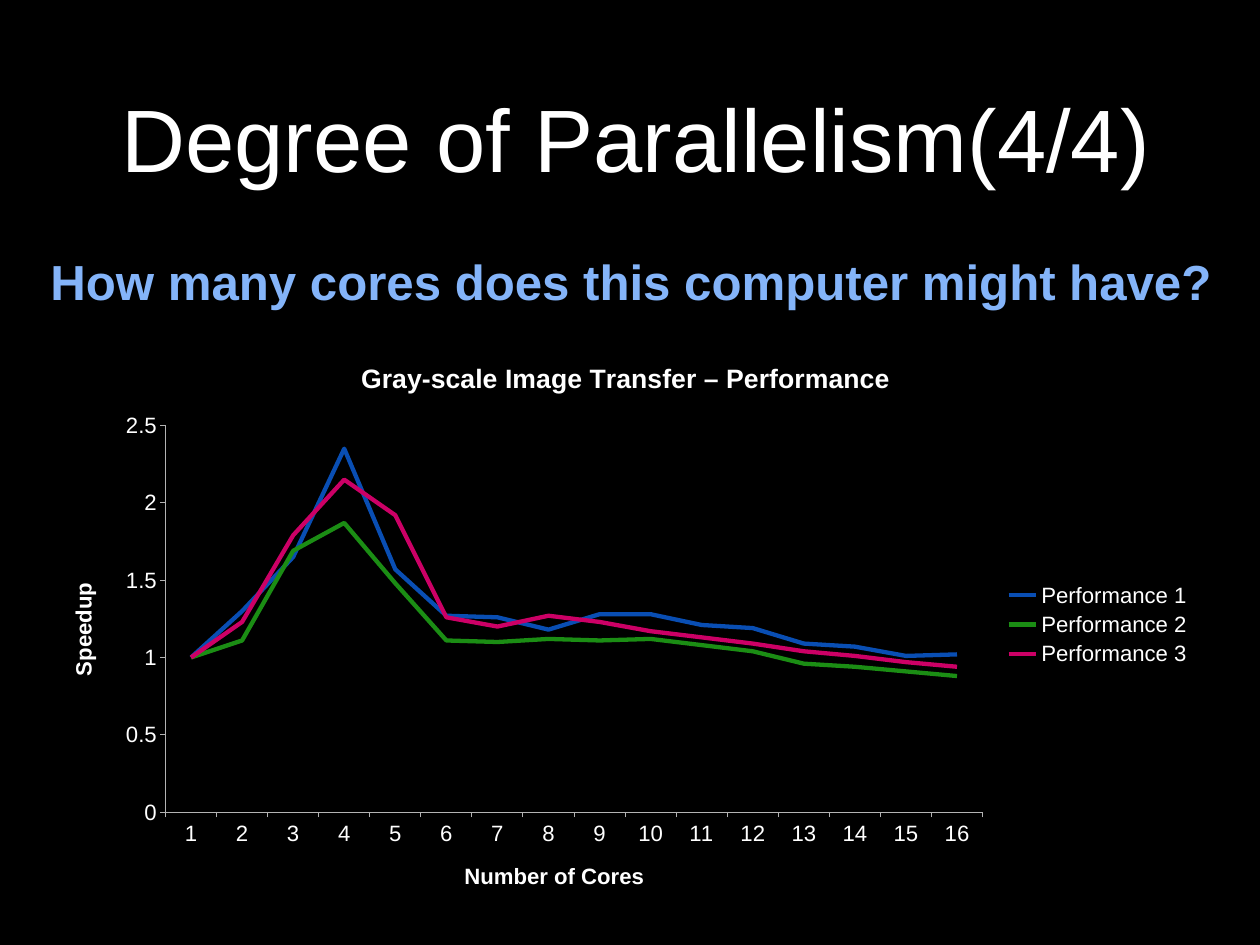
from dataclasses import dataclass

from lxml import etree
from pptx import Presentation
from pptx import util as u
from pptx.chart import data as cd
from pptx.dml import color as col
from pptx.enum import chart as ec
from pptx.enum import text as et
from pptx.oxml import ns

Pt = u.Pt
RGB = col.RGBColor
BLACK = RGB(0x00, 0x00, 0x00)
WHITE = RGB(0xFF, 0xFF, 0xFF)
GRAY = RGB(0xB3, 0xB3, 0xB3)
SKY = RGB(0x84, 0xB4, 0xF9)
BLUE = RGB(0x09, 0x4E, 0xB3)
GREEN = RGB(0x1B, 0x8D, 0x14)
PINK = RGB(0xCC, 0x00, 0x66)
FACE = "Arial"


@dataclass
class Label:
    words: str
    box: tuple[float, float, float, float]
    size: float
    color: RGB
    bold: bool = False
    align: et.PP_ALIGN = et.PP_ALIGN.LEFT
    anchor: et.MSO_ANCHOR = et.MSO_ANCHOR.TOP
    space: float = 1.0


@dataclass
class Trend:
    name: str
    color: RGB
    vals: list[float]


LABELS = [
    Label("How many cores does this computer might have?", (41, 209.5, 958.3, 528.5),
          40, SKY, bold=True, space=0.9),
    Label("Degree of Parallelism(4/4)", (95.8, 57.6, 841.7, 97.2), 72, WHITE,
          align=et.PP_ALIGN.CENTER, anchor=et.MSO_ANCHOR.BOTTOM),
]
TRENDS = [
    Trend("Performance 1", BLUE, [1, 1.3, 1.65, 2.35, 1.57, 1.27, 1.26, 1.18,
                                  1.28, 1.28, 1.21, 1.19, 1.09, 1.07, 1.01, 1.02]),
    Trend("Performance 2", GREEN, [1, 1.11, 1.69, 1.87, 1.48, 1.11, 1.1, 1.12,
                                   1.11, 1.12, 1.08, 1.04, 0.96, 0.94, 0.91, 0.88]),
    Trend("Performance 3", PINK, [1, 1.23, 1.79, 2.15, 1.92, 1.26, 1.2, 1.27,
                                  1.23, 1.17, 1.13, 1.09, 1.04, 1.01, 0.97, 0.94]),
]


def add_run(para, words: str, size: float, color: RGB, bold: bool) -> None:
    run = para.add_run()
    run.text = words
    font = run.font
    font.name, font.size, font.bold = FACE, Pt(size), bold
    font.color.rgb = color


def add_label(slide, label: Label) -> None:
    frame = slide.shapes.add_textbox(*map(Pt, label.box)).text_frame
    frame.word_wrap = True
    frame.margin_left = frame.margin_top = frame.margin_right = frame.margin_bottom = 0
    frame.vertical_anchor = label.anchor
    para = frame.paragraphs[0]
    para.alignment = label.align
    para.line_spacing = label.space
    add_run(para, label.words, label.size, label.color, label.bold)


def set_title(owner, words: str, size: float) -> None:
    owner.has_title = True
    title = owner.chart_title if hasattr(owner, "chart_title") else owner.axis_title
    add_run(title.text_frame.paragraphs[0], words, size, WHITE, True)


def set_axis(axis, words: str) -> None:
    set_title(axis, words, 18)
    axis.has_major_gridlines = False
    axis.major_tick_mark = ec.XL_TICK_MARK.OUTSIDE
    axis.minor_tick_mark = ec.XL_TICK_MARK.NONE
    axis.format.line.color.rgb = GRAY
    axis.format.line.width = Pt(0.75)


def set_plot(chart, x: float, y: float, w: float, h: float) -> None:
    area = chart.element.find(".//" + ns.qn("c:plotArea"))
    for old in area.findall(ns.qn("c:layout")):
        area.remove(old)
    layout = etree.Element(ns.qn("c:layout"))
    area.insert(0, layout)
    manual = etree.SubElement(layout, ns.qn("c:manualLayout"))
    parts = {"layoutTarget": "inner", "xMode": "edge", "yMode": "edge",
             "x": x, "y": y, "w": w, "h": h}
    for tag, val in parts.items():
        etree.SubElement(manual, ns.qn("c:" + tag)).set("val", str(val))


def add_graph(slide, trends: list[Trend]) -> None:
    data = cd.CategoryChartData()
    data.categories = [str(core) for core in range(1, 17)]
    for trend in trends:
        data.add_series(trend.name, trend.vals)
    box = map(Pt, (41, 276.5, 935.3, 462.2))
    chart = slide.shapes.add_chart(ec.XL_CHART_TYPE.LINE, *box, data).chart
    chart.font.name, chart.font.size = FACE, Pt(18)
    chart.font.color.rgb = WHITE
    set_title(chart, "Gray-scale Image Transfer – Performance", 21.6)
    set_axis(chart.category_axis, "Number of Cores")
    set_axis(chart.value_axis, "Speedup")
    scale = chart.value_axis
    scale.minimum_scale, scale.maximum_scale, scale.major_unit = 0, 2.5, 0.5
    scale.tick_labels.number_format = "General"
    scale.tick_labels.number_format_is_linked = False
    chart.has_legend = True
    chart.legend.position = ec.XL_LEGEND_POSITION.RIGHT
    chart.legend.include_in_layout = False
    plot = chart.plots[0]
    plot.vary_by_categories = False
    for line, trend in zip(plot.series, trends):
        line.smooth = False
        line.marker.style = ec.XL_MARKER_STYLE.NONE
        line.format.line.color.rgb = trend.color
        line.format.line.width = Pt(3.5)
    set_plot(chart, 0.1, 0.15, 0.71, 0.68)


def main() -> None:
    deck = Presentation()
    deck.slide_width, deck.slide_height = Pt(1024), Pt(768)
    slide = deck.slides.add_slide(deck.slide_layouts[6])
    fill = slide.background.fill
    fill.solid()
    fill.fore_color.rgb = BLACK
    ask, head = LABELS
    add_label(slide, ask)
    add_graph(slide, TRENDS)
    add_label(slide, head)
    deck.save("out.pptx")


if __name__ == "__main__":
    main()
